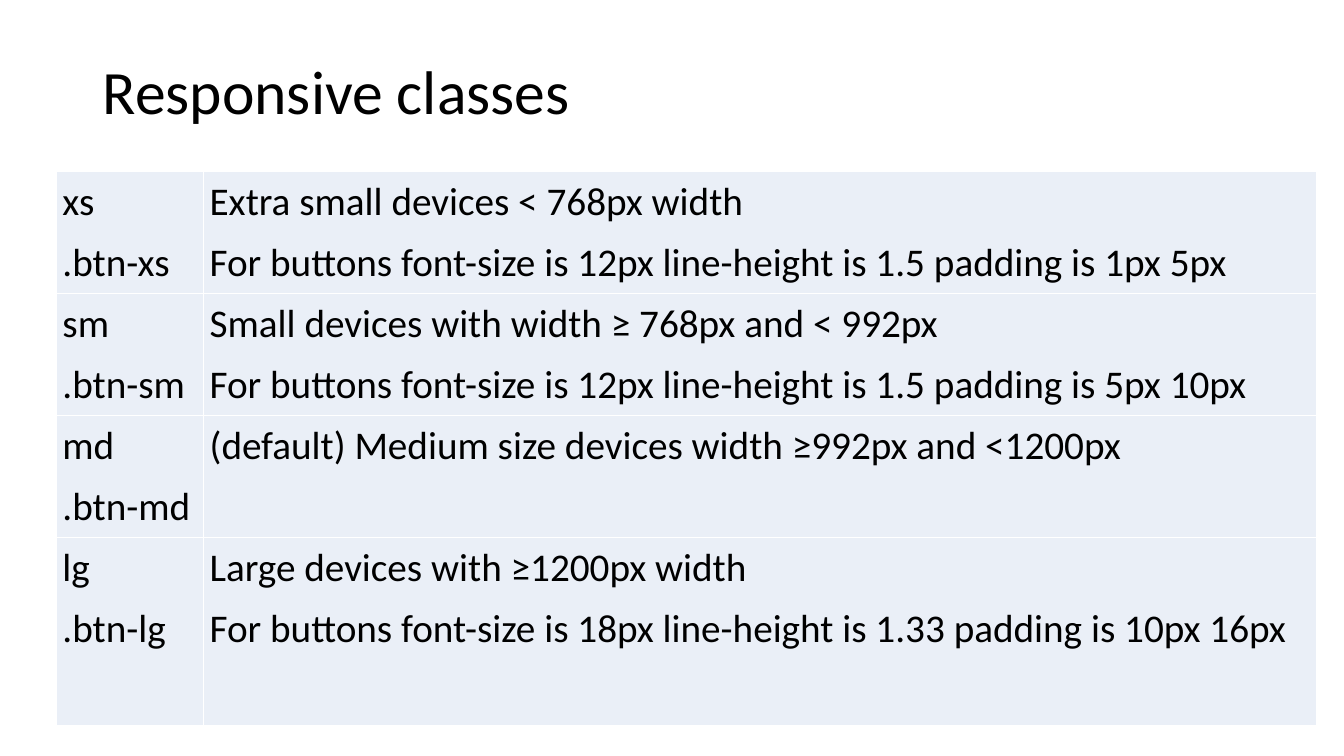
from dataclasses import dataclass
from typing import Any

from lxml.etree import SubElement as add_element
from pptx import Presentation
from pptx.dml.color import RGBColor as Color
from pptx.enum.text import MSO_ANCHOR as Anchor
from pptx.oxml.ns import qn
from pptx.slide import Slide
from pptx.table import _Cell as Cell
from pptx.text.text import TextFrame
from pptx.util import Emu, Inches, Pt

SLIDE_WIDTH, SLIDE_HEIGHT = Inches(13.33), Inches(7.5)


@dataclass(frozen=True)
class Theme:
    font: str = "Calibri"
    text: str = "000000"
    cell: str = "EAEFF7"
    border: str = "FFFFFF"
    title_size: int = 44
    body_size: int = 28
    border_width: int = 1


@dataclass(frozen=True)
class Area:
    left: float
    top: float
    width: float
    height: float

    def lengths(self) -> tuple[Emu, Emu, Emu, Emu]:
        return across(self.left), down(self.top), across(self.width), down(self.height)


@dataclass(frozen=True)
class SizeClass:
    name: str
    lines: tuple[str, ...]
    height: float = 16.13

    def cells(self) -> tuple[tuple[str, ...], ...]:
        return (self.name, f".btn-{self.name}"), self.lines


THEME = Theme()
TITLE_AREA = Area(6.9, 5.33, 86.25, 14.27)
TABLE_AREA = Area(4.2, 22.67, 93.77, 73.32)
COLUMN_SHARES = (10.95, 82.82)
TITLE_FORMAT = {"line_spacing": 0.9}
CELL_FORMAT = {"line_spacing": 1.15, "space_after": Pt(4)}
CELL_MARGINS = {
    "margin_left": Inches(0.06),
    "margin_right": Inches(0.06),
    "margin_top": 0,
    "margin_bottom": 0,
}
BUTTONS = "For buttons font-size is"
SIZE_CLASSES = (
    SizeClass("xs", (
        "Extra small devices < 768px width",
        f"{BUTTONS} 12px line-height is 1.5 padding is 1px 5px",
    )),
    SizeClass("sm", (
        "Small devices with width ≥ 768px and < 992px",
        f"{BUTTONS} 12px line-height is 1.5 padding is 5px 10px",
    )),
    SizeClass("md", ("(default) Medium size devices width ≥992px and <1200px",)),
    SizeClass("lg", (
        "Large devices with ≥1200px width",
        f"{BUTTONS} 18px line-height is 1.33 padding is 10px 16px",
    ), height=24.93),
)


def across(percent: float) -> Emu:
    return Emu(round(SLIDE_WIDTH * percent / 100))


def down(percent: float) -> Emu:
    return Emu(round(SLIDE_HEIGHT * percent / 100))


def apply_format(target: Any, values: dict[str, Any]) -> None:
    for name, value in values.items():
        setattr(target, name, value)


def write_lines(
    frame: TextFrame, lines: tuple[str, ...], size: int, para_format: dict[str, Any]
) -> None:
    for index, line in enumerate(lines):
        para = frame.add_paragraph() if index else frame.paragraphs[0]
        apply_format(para, para_format)
        span = para.add_run()
        span.text = line
        apply_format(span.font, {"name": THEME.font, "size": Pt(size), "bold": False})
        span.font.color.rgb = Color.from_string(THEME.text)


def draw_borders(cell: Cell) -> None:
    properties = cell._tc.get_or_add_tcPr()
    for side in ("lnL", "lnR", "lnT", "lnB"):
        line = add_element(properties, qn(f"a:{side}"), w=str(Pt(THEME.border_width)))
        fill = add_element(line, qn("a:solidFill"))
        add_element(fill, qn("a:srgbClr"), val=THEME.border)


def draw_cell(cell: Cell, lines: tuple[str, ...]) -> None:
    apply_format(cell, CELL_MARGINS)
    draw_borders(cell)
    cell.fill.solid()
    cell.fill.fore_color.rgb = Color.from_string(THEME.cell)
    write_lines(cell.text_frame, lines, THEME.body_size, CELL_FORMAT)


def draw_title(page: Slide, title: str) -> None:
    box = page.shapes.add_textbox(*TITLE_AREA.lengths())
    apply_format(box.text_frame, {"word_wrap": True, "vertical_anchor": Anchor.MIDDLE})
    write_lines(box.text_frame, (title,), THEME.title_size, TITLE_FORMAT)


def draw_table(page: Slide, size_classes: tuple[SizeClass, ...]) -> None:
    table = page.shapes.add_table(
        len(size_classes), len(COLUMN_SHARES), *TABLE_AREA.lengths()
    ).table
    apply_format(table, {"first_row": False, "horz_banding": False})
    for column, share in zip(table.columns, COLUMN_SHARES):
        column.width = across(share)
    for row, size_class in zip(table.rows, size_classes):
        row.height = down(size_class.height)
        for cell, lines in zip(row.cells, size_class.cells()):
            draw_cell(cell, lines)


def main() -> None:
    deck = Presentation()
    apply_format(deck, {"slide_width": SLIDE_WIDTH, "slide_height": SLIDE_HEIGHT})
    page = deck.slides.add_slide(deck.slide_layouts[6])
    draw_title(page, "Responsive classes")
    draw_table(page, SIZE_CLASSES)
    deck.save("out.pptx")


if __name__ == "__main__":
    main()
